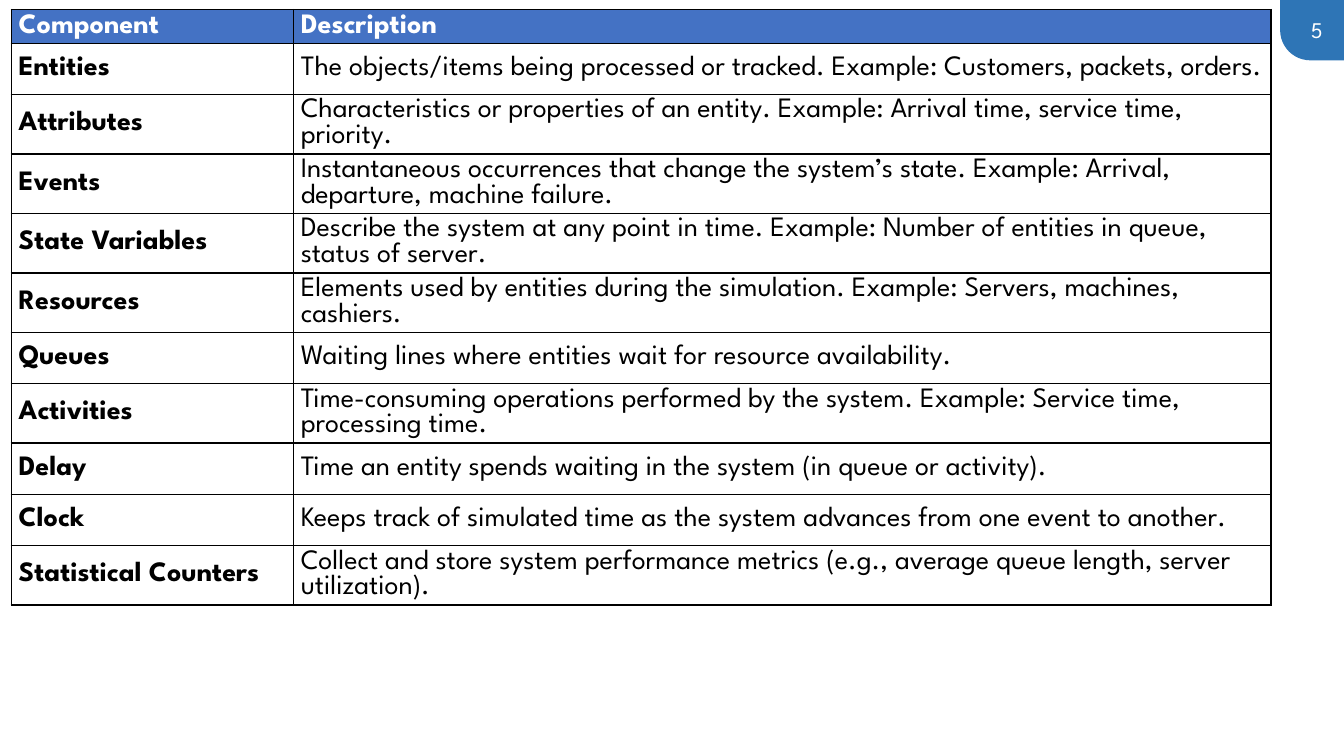
from dataclasses import dataclass

from pptx import Presentation
from pptx import util as u
from pptx.dml.color import RGBColor
from pptx.enum import shapes, text
from pptx.oxml import parse_xml
from pptx.oxml.ns import nsdecls


@dataclass(frozen=True)
class Theme:
    font: str = "League Spartan"
    header: str = "4472C4"
    tab: str = "2E75B6"
    white: str = "FFFFFF"
    black: str = "000000"
    table_size: int = 20
    table_leading: float = 18.4
    number_size: int = 16
    border: int = 1


@dataclass(frozen=True)
class Component:
    name: str
    description: str


THEME = Theme()
HEADER = Component("Component", "Description")
COMPONENTS = [
    Component("Entities", "The objects/items being processed or tracked. Example: Customers, packets, orders."),
    Component("Attributes", "Characteristics or properties of an entity. Example: Arrival time, service time, priority."),
    Component("Events", "Instantaneous occurrences that change the system’s state. Example: Arrival, departure, machine failure."),
    Component("State Variables", "Describe the system at any point in time. Example: Number of entities in queue, status of server."),
    Component("Resources", "Elements used by entities during the simulation. Example: Servers, machines, cashiers."),
    Component("Queues", "Waiting lines where entities wait for resource availability."),
    Component("Activities", "Time-consuming operations performed by the system. Example: Service time, processing time."),
    Component("Delay", "Time an entity spends waiting in the system (in queue or activity)."),
    Component("Clock", "Keeps track of simulated time as the system advances from one event to another."),
    Component("Statistical Counters", "Collect and store system performance metrics (e.g., average queue length, server utilization)."),
]
COLUMN_WIDTHS = (7.11, 24.64)
HEADER_HEIGHT = 0.74
ROW_HEIGHT = 1.29


def write(tf, content: str, *, size: int, color: str, bold: bool = False,
          align=text.PP_ALIGN.LEFT, leading: float | None = None) -> None:
    p = tf.paragraphs[0]
    p.alignment = align
    if leading:
        p.line_spacing = u.Pt(leading)
    r = p.add_run()
    r.text = content
    r.font.name = THEME.font
    r.font.size = u.Pt(size)
    r.font.bold = bold
    r.font.color.rgb = RGBColor.from_string(color)


def add_borders(cell) -> None:
    tc_pr = cell._tc.get_or_add_tcPr()
    for side in ("lnL", "lnR", "lnT", "lnB"):
        tc_pr.append(parse_xml(
            f'<a:{side} {nsdecls("a")} w="{u.Pt(THEME.border)}"><a:solidFill>'
            f'<a:srgbClr val="{THEME.black}"/></a:solidFill></a:{side}>'))


def fill_cell(cell, content: str, *, header: bool, bold: bool) -> None:
    cell.vertical_anchor = text.MSO_ANCHOR.MIDDLE
    cell.margin_left = cell.margin_right = u.Cm(0.19)
    cell.margin_top = cell.margin_bottom = u.Cm(0.1)
    add_borders(cell)
    if header:
        cell.fill.solid()
        cell.fill.fore_color.rgb = RGBColor.from_string(THEME.header)
    else:
        cell.fill.background()
    write(cell.text_frame, content, size=THEME.table_size, bold=bold,
          color=THEME.white if header else THEME.black, leading=THEME.table_leading)


def add_component_table(slide) -> None:
    rows = [HEADER, *COMPONENTS]
    height = HEADER_HEIGHT + ROW_HEIGHT * len(COMPONENTS)
    table = slide.shapes.add_table(
        len(rows), len(COLUMN_WIDTHS), u.Cm(0.28), u.Cm(0.24),
        u.Cm(sum(COLUMN_WIDTHS)), u.Cm(height)).table
    table.horz_banding = False
    for column, width in zip(table.columns, COLUMN_WIDTHS):
        column.width = u.Cm(width)
    for i, component in enumerate(rows):
        header = i == 0
        table.rows[i].height = u.Cm(HEADER_HEIGHT if header else ROW_HEIGHT)
        fill_cell(table.cell(i, 0), component.name, header=header, bold=True)
        fill_cell(table.cell(i, 1), component.description, header=header, bold=header)


def add_page_tab(slide, number: str) -> None:
    sp = slide.shapes.add_shape(
        shapes.MSO_SHAPE.ROUND_1_RECTANGLE, u.Cm(32.26), 0, u.Cm(1.61), u.Cm(1.52))
    sp.adjustments[0] = 0.5
    sp.rotation = 180
    sp.shadow.inherit = False
    sp.fill.solid()
    sp.fill.fore_color.rgb = RGBColor.from_string(THEME.tab)
    sp.line.fill.background()

    tf = slide.shapes.add_textbox(u.Cm(31.95), u.Cm(0.24), u.Cm(1.63), u.Cm(1.02)).text_frame
    tf.word_wrap = True
    tf.vertical_anchor = text.MSO_ANCHOR.MIDDLE
    write(tf, number, size=THEME.number_size, color=THEME.white, align=text.PP_ALIGN.RIGHT)


def main() -> None:
    prs = Presentation()
    prs.slide_width, prs.slide_height = u.Cm(33.87), u.Cm(19.05)
    slide = prs.slides.add_slide(prs.slide_layouts[6])
    add_page_tab(slide, "5")
    add_component_table(slide)
    prs.save("out.pptx")


if __name__ == "__main__":
    main()
